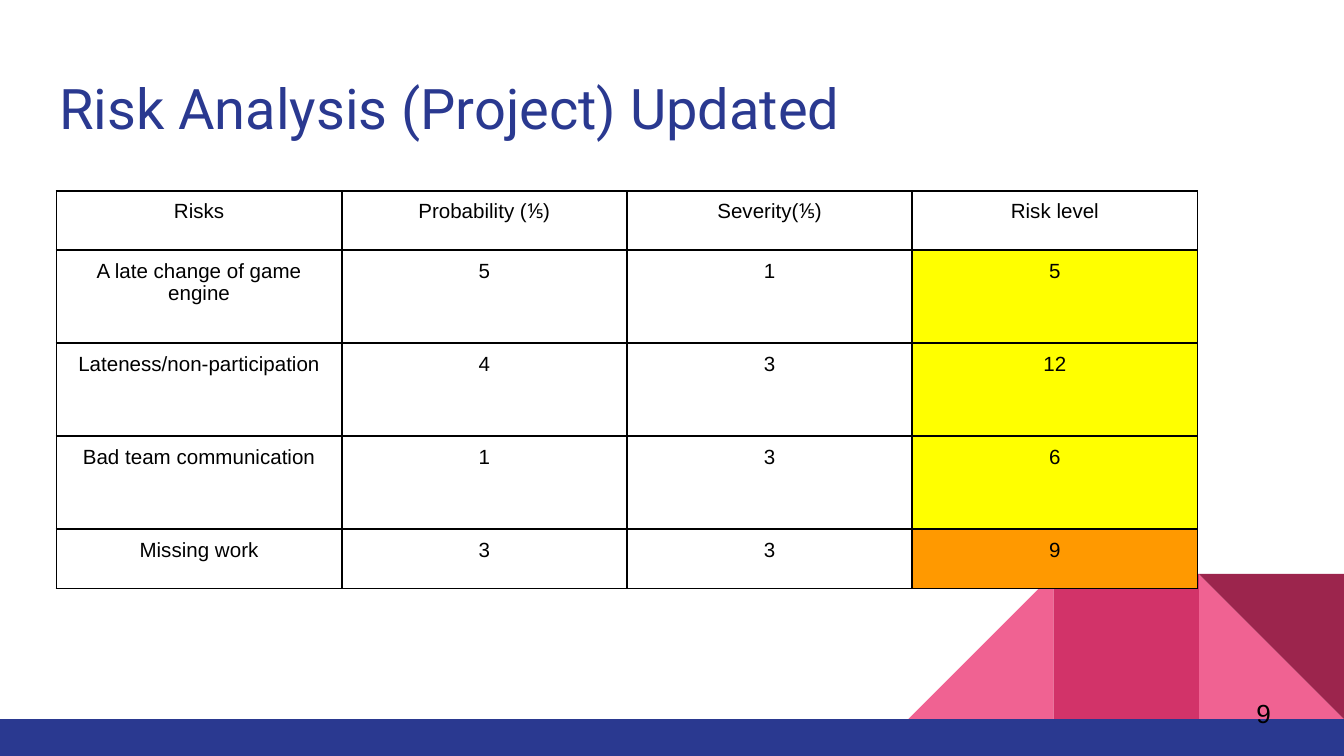
from lxml import etree
from pptx import Presentation
from pptx.dml.color import RGBColor
from pptx.enum.shapes import MSO_SHAPE
from pptx.enum.text import MSO_ANCHOR, PP_ALIGN
from pptx.oxml.ns import qn
from pptx.util import Inches, Pt

TRIANGLE, RECT = MSO_SHAPE.RIGHT_TRIANGLE, MSO_SHAPE.RECTANGLE
TOP, MIDDLE = MSO_ANCHOR.TOP, MSO_ANCHOR.MIDDLE
LEFT, CENTER = PP_ALIGN.LEFT, PP_ALIGN.CENTER

COLORS = {
    "navy": "2A3990", "pink": "F06292", "rose": "D23369", "wine": "9C254D",
    "black": "000000", "yellow": "FFFF00", "orange": "FF9900",
}
TITLE = "Risk Analysis (Project) Updated"
PAGE = "9"
HEADER = ("Risks", "Probability (⅕)", "Severity(⅕)", "Risk level")
RISKS = [
    ("A late change of game engine", "5", "1", "5", "yellow"),
    ("Lateness/non-participation", "4", "3", "12", "yellow"),
    ("Bad team communication", "1", "3", "6", "yellow"),
    ("Missing work", "3", "3", "9", "orange"),
]
ROW_WEIGHTS = (0.44, 0.69, 0.69, 0.69, 0.44)
TABLE_WIDTH, TABLE_HEIGHT = 8.49, 2.96
WIDTH = 10
HEIGHT = WIDTH * 9 / 16
BAR_TOP, TILE = 5.35, 1.08
TILES = [
    (TRIANGLE, 1, "pink", 0, False),
    (TRIANGLE, 3, "pink", 0, True),
    (RECT, 2, "rose", 0, False),
    (TRIANGLE, 1, "wine", 180, False),
]


def rgb(name):
    return RGBColor.from_string(COLORS[name])


def add_block(kind, x, y, w, h, color):
    sp = s.shapes.add_shape(kind, Inches(x), Inches(y), Inches(w), Inches(h))
    sp.shadow.inherit = False
    sp.fill.solid()
    sp.fill.fore_color.rgb = rgb(color)
    sp.line.fill.background()
    return sp


def set_text(tf, text, size, font, color, align):
    tf.text = text
    p = tf.paragraphs[0]
    p.alignment = align
    p.font.size = Pt(size)
    p.font.name = font
    p.font.bold = False
    p.font.color.rgb = rgb(color)


def set_frame(tf, anchor):
    tf.word_wrap = True
    tf.vertical_anchor = anchor
    tf.margin_left = tf.margin_right = tf.margin_top = tf.margin_bottom = Inches(0.1)


def add_borders(cell):
    tc_pr = cell._tc.get_or_add_tcPr()
    for side in ("lnL", "lnR", "lnT", "lnB"):
        ln = etree.SubElement(tc_pr, qn(f"a:{side}"), w=str(Pt(1)))
        fill = etree.SubElement(ln, qn("a:solidFill"))
        etree.SubElement(fill, qn("a:srgbClr"), val=COLORS["black"])


prs = Presentation()
prs.slide_width, prs.slide_height = Inches(WIDTH), Inches(HEIGHT)
s = prs.slides.add_slide(prs.slide_layouts[5])

for kind, steps, color, rotation, flipped in TILES:
    sp = add_block(kind, WIDTH - steps * TILE, BAR_TOP - TILE, TILE, TILE, color)
    sp.rotation = rotation
    if flipped:
        sp._element.spPr.find(qn("a:xfrm")).set("flipH", "1")
add_block(RECT, 0, BAR_TOP, WIDTH, HEIGHT - BAR_TOP, "navy")

title = s.shapes.title
title.left, title.top = Inches(0.34), Inches(0.45)
title.width, title.height = Inches(9.32), Inches(0.66)
set_frame(title.text_frame, TOP)
set_text(title.text_frame, TITLE, 30, "Roboto", "navy", LEFT)

number = s.shapes.add_textbox(Inches(9.25), Inches(5.09), Inches(0.6), Inches(0.43))
set_frame(number.text_frame, MIDDLE)
set_text(number.text_frame, PAGE, 14, "Arial", "black", LEFT)

table = s.shapes.add_table(
    len(ROW_WEIGHTS), len(HEADER), Inches(0.42), Inches(1.42),
    Inches(TABLE_WIDTH), Inches(TABLE_HEIGHT),
).table
table.first_row = table.horz_banding = False
for col in table.columns:
    col.width = Inches(TABLE_WIDTH / len(HEADER))
for row, weight in zip(table.rows, ROW_WEIGHTS):
    row.height = Inches(TABLE_HEIGHT * weight / sum(ROW_WEIGHTS))

for r, (*values, level) in enumerate([(*HEADER, None), *RISKS]):
    for c, value in enumerate(values):
        cell = table.cell(r, c)
        cell.margin_left = cell.margin_right = Inches(0.07)
        cell.margin_top = cell.margin_bottom = Inches(0.07)
        cell.vertical_anchor = TOP
        set_text(cell.text_frame, value, 11, "Arial", "black", CENTER)
        add_borders(cell)
        if level and c == len(HEADER) - 1:
            cell.fill.solid()
            cell.fill.fore_color.rgb = rgb(level)
        else:
            cell.fill.background()

prs.save("out.pptx")
